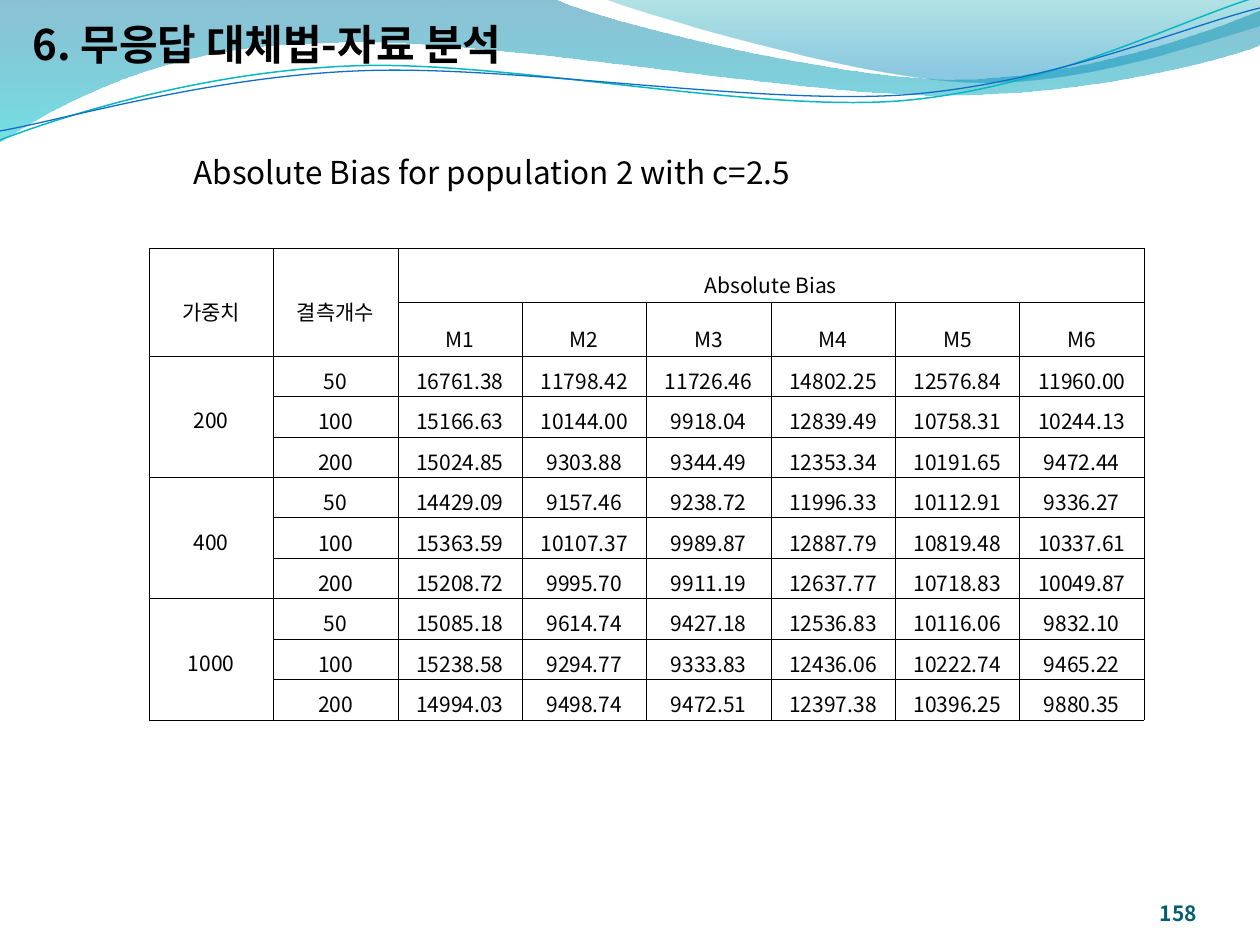
from dataclasses import dataclass

from lxml.etree import SubElement as Sub
from pptx import Presentation
from pptx.dml.color import RGBColor as Rgb
from pptx.enum.text import MSO_ANCHOR as Anchor, MSO_AUTO_SIZE as Fit, PP_ALIGN as Align
from pptx.oxml import parse_xml
from pptx.oxml.ns import nsdecls, qn
from pptx.util import Pt

SCALE = 914400 / 126
FONT = "Noto Sans CJK KR"
HUES = {
    "ink": "000000", "page": "045D75",
    "sea": "0074A1", "aqua": "00C6CF",
    "teal": "00A1A9", "sky": "008BBF",
    "cyan": "0AB8BF", "blue": "0F6FC6",
}


@dataclass
class Band:
    """A filled wave; a 2-tuple is a straight step, a 6-tuple a curve."""
    start: tuple
    steps: list
    stops: list  # position, hue, opacity in percent


@dataclass
class Wave:
    start: tuple
    steps: list
    hue: str
    width: float


BANDS = [
    Band((0, -1), [(554, -1), (600, 21, 837, 79, 955, 79), (1075, 79, 1207, 33, 1260, 11),
                   (1261, 45), (1239, 55, 1096, 96, 940, 95), (784, 95, 481, 35, 324, 43),
                   (163, 44, 58, 105, -1, 142)],
         [(0, "sea", 45), (1, "aqua", 55)]),
    Band((604, -1), [(641, 14, 859, 78, 969, 82), (1079, 87, 1211, 40, 1260, 26), (1260, 0)],
         [(0, "teal", 30), (0.8, "sky", 45)]),
]
WAVES = [
    Wave((0, 140), [(60, 117, 199, 72, 349, 66), (498, 59, 747, 112, 898, 101),
                    (1050, 89, 1182, 19, 1257, -3)], "cyan", 0.85),
    Wave((0, 131), [(59, 121, 207, 77, 357, 71), (508, 64, 752, 105, 903, 95),
                    (1053, 84, 1186, 26, 1260, 8)], "blue", 0.75),
]
GROUPS = ["200", "400", "1000"]
COUNTS = ["50", "100", "200"]
BIAS = """
16761.38 11798.42 11726.46 14802.25 12576.84 11960.00
15166.63 10144.00 9918.04 12839.49 10758.31 10244.13
15024.85 9303.88 9344.49 12353.34 10191.65 9472.44
14429.09 9157.46 9238.72 11996.33 10112.91 9336.27
15363.59 10107.37 9989.87 12887.79 10819.48 10337.61
15208.72 9995.70 9911.19 12637.77 10718.83 10049.87
15085.18 9614.74 9427.18 12536.83 10116.06 9832.10
15238.58 9294.77 9333.83 12436.06 10222.74 9465.22
14994.03 9498.74 9472.51 12397.38 10396.25 9880.35
"""


def px(n: float) -> int:
    return round(n * SCALE)


def draw(shapes, item, close: bool):
    """Lay out every point as a line, then join threes into curves."""
    pen = shapes.build_freeform(*item.start, scale=SCALE)
    for step in item.steps:
        pen.add_line_segments(list(zip(step[::2], step[1::2])), close=False)
    if close:
        pen.add_line_segments([], close=True)
    shape = pen.convert_to_shape()
    shape.shadow.inherit = False
    lines = iter(list(shape.element.spPr.iter(qn("a:lnTo"))))
    for step in item.steps:
        first = next(lines)
        if len(step) == 6:
            first.addprevious(parse_xml(f'<a:cubicBezTo {nsdecls("a")}/>'))
            curve = first.getprevious()
            for line in (first, next(lines), next(lines)):
                curve.append(line[0])
                line.getparent().remove(line)
    return shape


def add_band(shapes, band: Band) -> None:
    shape = draw(shapes, band, True)
    shape.line.fill.background()
    shape.fill.gradient()
    shape.fill.gradient_angle = 270
    for stop, (at, hue, _) in zip(shape.fill.gradient_stops, band.stops):
        stop.position = at
        stop.color.rgb = Rgb.from_string(HUES[hue])
    for tint, (_, _, alpha) in zip(shape.element.spPr.iter(qn("a:srgbClr")), band.stops):
        Sub(tint, qn("a:alpha"), val=str(alpha * 1000))


def add_wave(shapes, wave: Wave) -> None:
    shape = draw(shapes, wave, False)
    shape.fill.background()
    shape.line.color.rgb = Rgb.from_string(HUES[wave.hue])
    shape.line.width = Pt(wave.width)


def add_run(para, text: str, size: int, hue: str = "ink", bold: bool = False) -> None:
    run = para.add_run()
    run.text = text
    font = run.font
    font.name, font.size, font.bold = FONT, Pt(size), bold
    font.color.rgb = Rgb.from_string(HUES[hue])
    Sub(run._r.get_or_add_rPr(), qn("a:ea"), typeface=FONT)


def place(shape, x: int, y: int, w: int, h: int) -> None:
    shape.left, shape.top, shape.width, shape.height = px(x), px(y), px(w), px(h)


def style_cell(cell) -> None:
    cell.vertical_anchor = Anchor.MIDDLE
    cell.margin_left = cell.margin_right = px(9)
    cell.margin_top = cell.margin_bottom = px(3)
    cell.fill.background()
    props = cell._tc.get_or_add_tcPr()
    for i, side in enumerate("LRTB"):
        props.insert(i, parse_xml(
            f'<a:ln{side} {nsdecls("a")} w="{Pt(0.28)}"><a:solidFill>'
            f'<a:srgbClr val="{HUES["ink"]}"/></a:solidFill></a:ln{side}>'))


def add_grid(shapes) -> None:
    rows = [["가중치", "결측개수", "Absolute Bias"] + [""] * 5,
            ["", ""] + [f"M{i}" for i in range(1, 7)]]
    for i, line in enumerate(BIAS.strip().splitlines()):
        group = "" if i % 3 else GROUPS[i // 3]
        rows.append([group, COUNTS[i % 3], *line.split()])
    table = shapes.add_table(len(rows), 8, px(149), px(248), px(995), px(472)).table
    table.first_row = table.horz_banding = False
    for col in table.columns:
        col.width = px(995) // 8
    for r, row in enumerate(rows):
        table.rows[r].height = px(54) if r < 2 else px(364) // 9
        for c, text in enumerate(row):
            cell = table.cell(r, c)
            style_cell(cell)
            if text:
                para = cell.text_frame.paragraphs[0]
                para.alignment = Align.CENTER
                para.line_spacing = 1.6 if r < 2 else 1.2
                add_run(para, text, 12)
    # Merged headings and weight groups
    spans = [(0, 0, 1, 0), (0, 1, 1, 1), (0, 2, 0, 7)]
    spans += [(r, 0, r + 2, 0) for r in (2, 5, 8)]
    for top, left, end, right in spans:
        table.cell(top, left).merge(table.cell(end, right))


def main() -> None:
    deck = Presentation()
    deck.slide_width, deck.slide_height = px(1260), px(945)
    slide = deck.slides.add_slide(deck.slide_layouts[5])
    shapes = slide.shapes

    # Header waves
    for band in BANDS:
        add_band(shapes, band)
    for wave in WAVES:
        add_wave(shapes, wave)

    # Title, brought in front of the waves
    title = shapes.title
    shapes.element.append(title.element)
    place(title, 20, 0, 560, 88)
    frame = title.text_frame
    frame.word_wrap, frame.auto_size = False, Fit.NONE
    frame.vertical_anchor = Anchor.MIDDLE
    frame.paragraphs[0].alignment = Align.LEFT
    add_run(frame.paragraphs[0], "6. 무응답 대체법-자료 분석", 24, bold=True)

    # Table caption
    frame = shapes.add_textbox(px(118), px(147), px(1053), px(50)).text_frame
    frame.word_wrap = True
    para = frame.paragraphs[0]
    para.level = 1
    props = para._p.get_or_add_pPr()
    props.set("marL", str(px(63)))
    props.set("indent", "0")
    add_run(para, "Absolute Bias for population 2 with c=2.5", 18)

    add_grid(shapes)

    # Page number
    frame = shapes.add_textbox(px(1092), px(876), px(105), px(50)).text_frame
    frame.word_wrap = True
    frame.margin_left = frame.margin_right = frame.margin_top = frame.margin_bottom = 0
    frame.vertical_anchor = Anchor.BOTTOM
    frame.paragraphs[0].alignment = Align.RIGHT
    add_run(frame.paragraphs[0], "158", 12, "page", True)

    deck.save("out.pptx")


if __name__ == "__main__":
    main()
